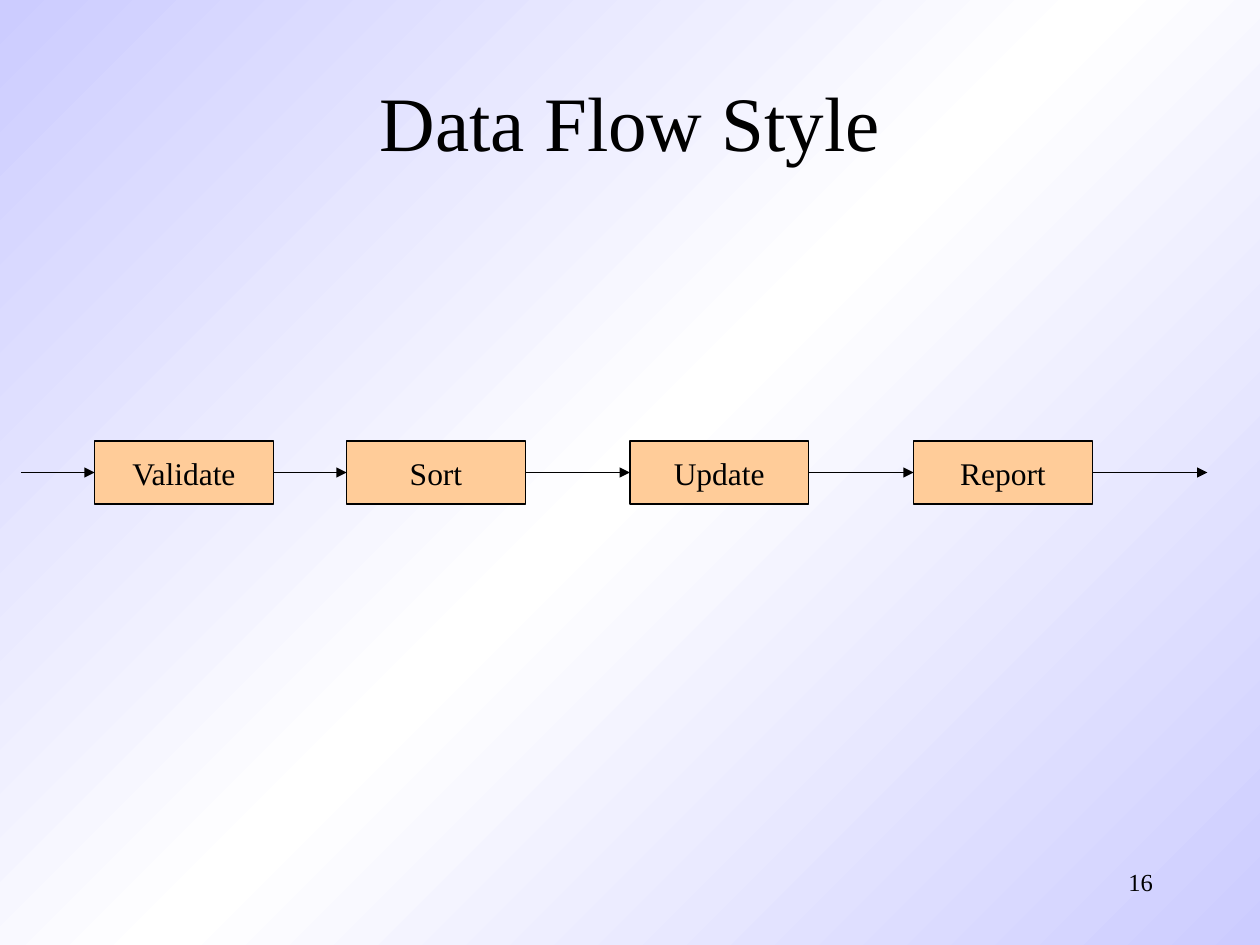
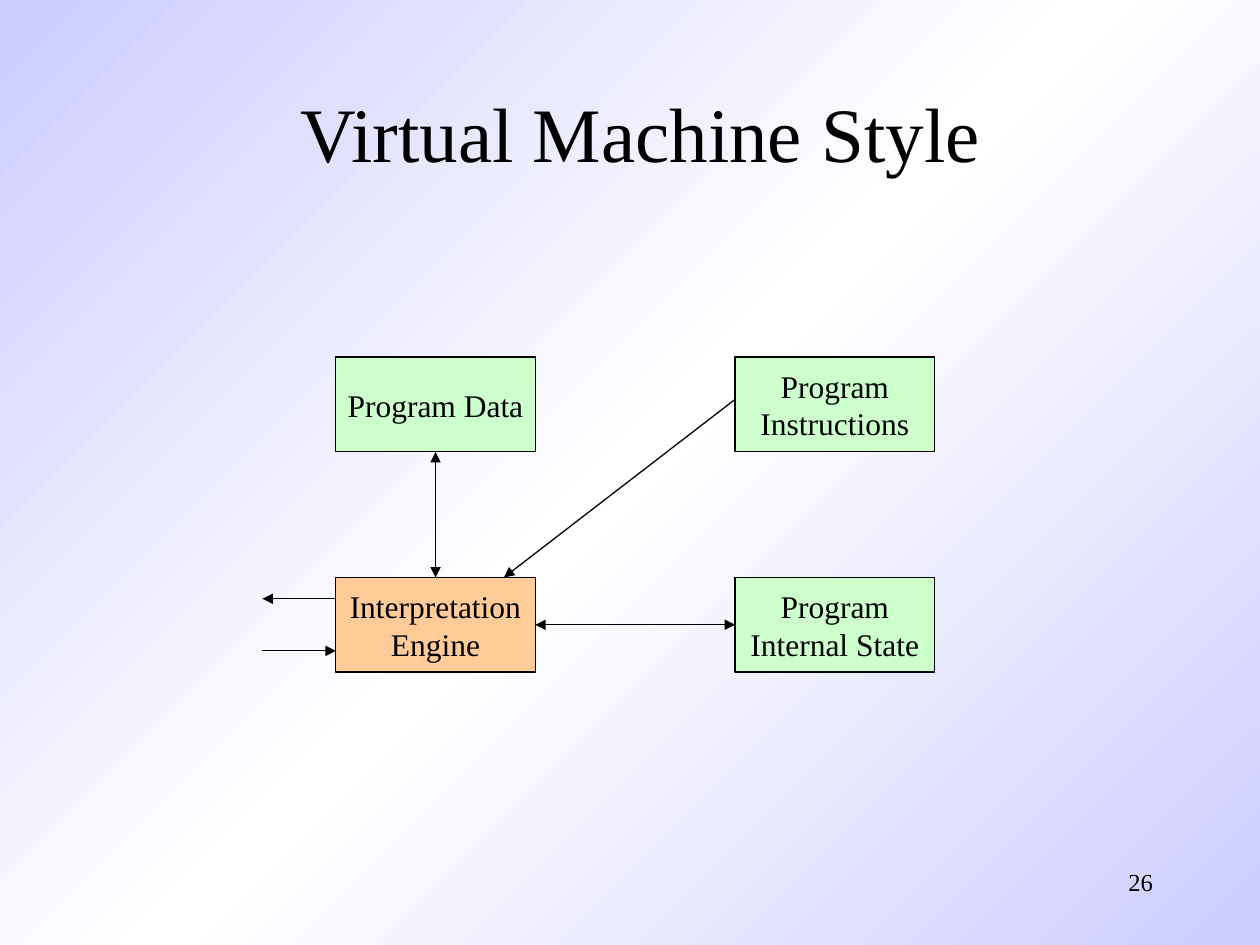
"""Build two slides on architecture styles: data flow and virtual machine."""
from copy import deepcopy

from lxml import etree
from pptx import Presentation
from pptx.dml.color import RGBColor
from pptx.enum.shapes import MSO_CONNECTOR, MSO_SHAPE
from pptx.enum.text import MSO_ANCHOR, PP_ALIGN
from pptx.oxml.ns import qn
from pptx.util import Cm, Pt

RECTANGLE = MSO_SHAPE.RECTANGLE
STRAIGHT = MSO_CONNECTOR.STRAIGHT
MIDDLE = MSO_ANCHOR.MIDDLE
CENTER, RIGHT = PP_ALIGN.CENTER, PP_ALIGN.RIGHT
TITLE_ONLY = 5
FONT = "Times New Roman"
COLORS = {
    "ink": "000000",
    "edge": "CCCCFF",
    "glow": "FFFFFF",
    "process": "FFCC99",
    "data": "CCFFCC",
}


def color(name):
    return RGBColor.from_string(COLORS[name])


class Deck:
    """Hold the shared style and the current slide."""

    def __init__(self):
        self.presentation = Presentation()
        self.presentation.slide_width = Cm(25.4)
        self.presentation.slide_height = Cm(19.05)
        self.slide = None
        self.paint_background()

    def paint_background(self):
        master = self.presentation.slide_master
        fill = master.background.fill
        fill.gradient()
        fill.gradient_angle = 315
        stops = master.element.find(".//" + qn("p:bgPr")).find(".//" + qn("a:gsLst"))
        stops.append(deepcopy(stops[0]))
        for stop, position, name in zip(
            fill.gradient_stops, (0, 0.5, 1), ("edge", "glow", "edge")
        ):
            stop.position = position
            stop.color.rgb = color(name)

    def set_text(self, frame, text, size, align):
        frame.text = text
        for paragraph in frame.paragraphs:
            paragraph.alignment = align
            paragraph.font.name = FONT
            paragraph.font.size = Pt(size)
            paragraph.font.color.rgb = color("ink")

    def add_slide(self, title, number, left, top):
        layout = self.presentation.slide_layouts[TITLE_ONLY]
        self.slide = self.presentation.slides.add_slide(layout)
        heading = self.slide.shapes.title
        heading.left, heading.top = Cm(left), Cm(top)
        heading.width, heading.height = Cm(21.59), Cm(3.18)
        heading.text_frame.vertical_anchor = MIDDLE
        self.set_text(heading.text_frame, title, 44, CENTER)
        page = self.slide.shapes.add_textbox(Cm(18.2), Cm(17.36), Cm(5.29), Cm(1.27))
        page.text_frame.word_wrap = True
        self.set_text(page.text_frame, number, 14, RIGHT)

    def box(self, text, left, top, width, height, fill):
        block = self.slide.shapes.add_shape(
            RECTANGLE, Cm(left), Cm(top), Cm(width), Cm(height)
        )
        block.shadow.inherit = False
        block.fill.solid()
        block.fill.fore_color.rgb = color(fill)
        block.line.color.rgb = color("ink")
        block.line.width = Pt(0.75)
        block.text_frame.word_wrap = False
        block.text_frame.vertical_anchor = MIDDLE
        self.set_text(block.text_frame, text, 18, CENTER)

    def arrow(self, start, end, both_ways=False):
        link = self.slide.shapes.add_connector(
            STRAIGHT, *(Cm(value) for value in (*start, *end))
        )
        link.line.color.rgb = color("ink")
        link.line.width = Pt(0.75)
        properties = link.element.spPr
        outline = properties.find(qn("a:ln"))
        for tag in ("a:headEnd", "a:tailEnd") if both_ways else ("a:tailEnd",):
            etree.SubElement(outline, qn(tag), type="triangle")
        etree.SubElement(properties, qn("a:effectLst"))


def data_flow(deck):
    deck.add_slide("Data Flow Style", "16", 1.91, 0.85)
    width, height, top = 3.6, 1.27, 8.89
    middle = top + height / 2
    steps = {"Validate": 1.91, "Sort": 6.99, "Update": 12.7, "Report": 18.42}
    for step, left in steps.items():
        deck.box(step, left, top, width, height, "process")
    starts = [0.42] + [left + width for left in steps.values()]
    ends = [*steps.values(), 24.34]
    for start, end in zip(starts, ends):
        deck.arrow((start, middle), (end, middle))


def virtual_machine(deck):
    deck.add_slide("Virtual Machine Style", "26", 2.12, 1.06)
    width, height = 4.02, 1.91
    left, right = 6.77, 14.82
    upper, lower = 7.2, 11.64
    outside = 5.29
    parts = (
        ("Interpretation\nEngine", left, lower, "process"),
        ("Program Data", left, upper, "data"),
        ("Program\nInstructions", right, upper, "data"),
        ("Program\nInternal State", right, lower, "data"),
    )
    for text, x, y, fill in parts:
        deck.box(text, x, y, width, height, fill)
    center, middle = left + width / 2, lower + height / 2
    deck.arrow((left, 12.07), (outside, 12.07))
    deck.arrow((outside, 13.12), (left, 13.12))
    deck.arrow((center, upper + height), (center, lower), both_ways=True)
    deck.arrow((left + width, middle), (right, middle), both_ways=True)
    deck.arrow((right, 8.05), (10.16, lower))


def main():
    deck = Deck()
    data_flow(deck)
    virtual_machine(deck)
    deck.presentation.save("out.pptx")


if __name__ == "__main__":
    main()
